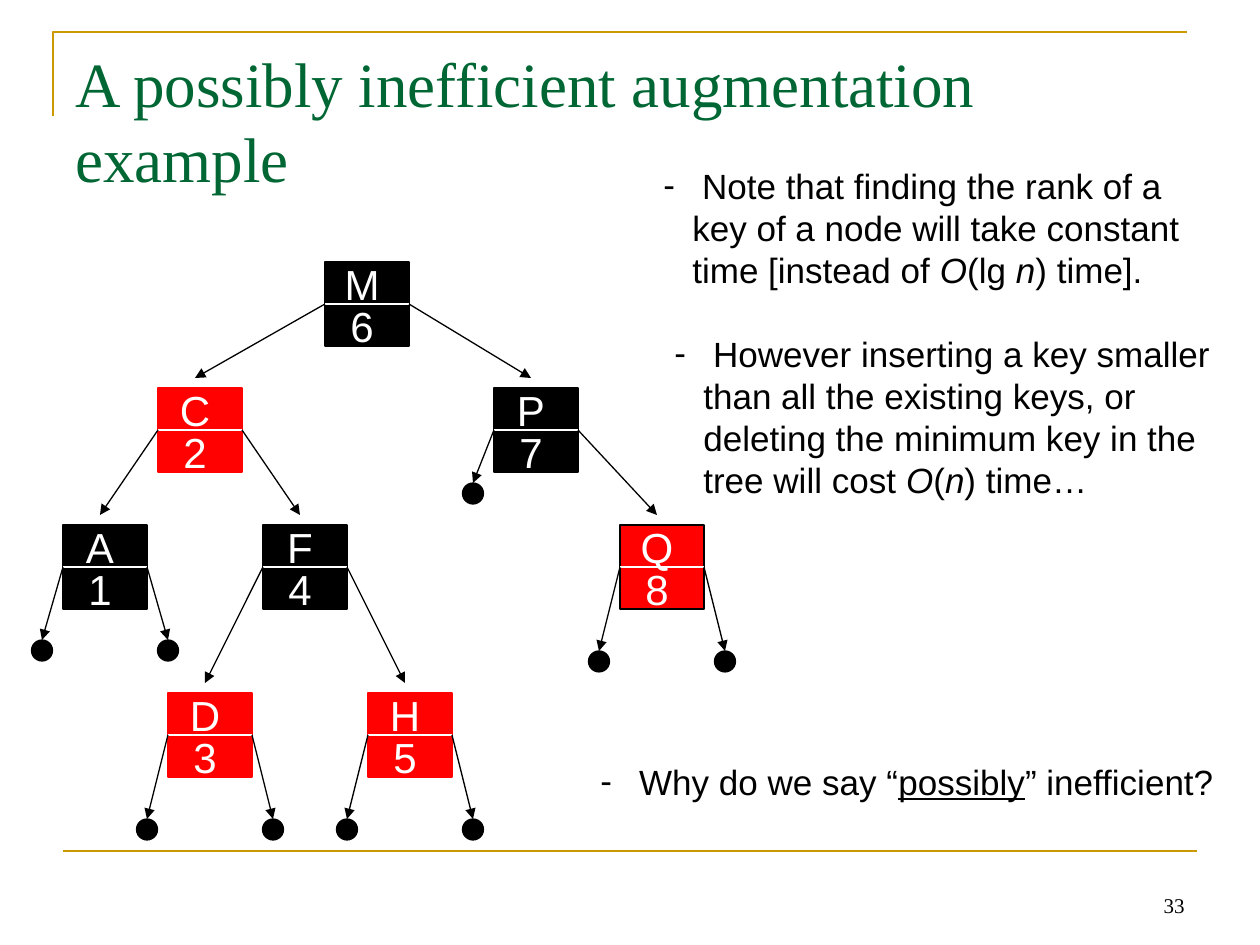
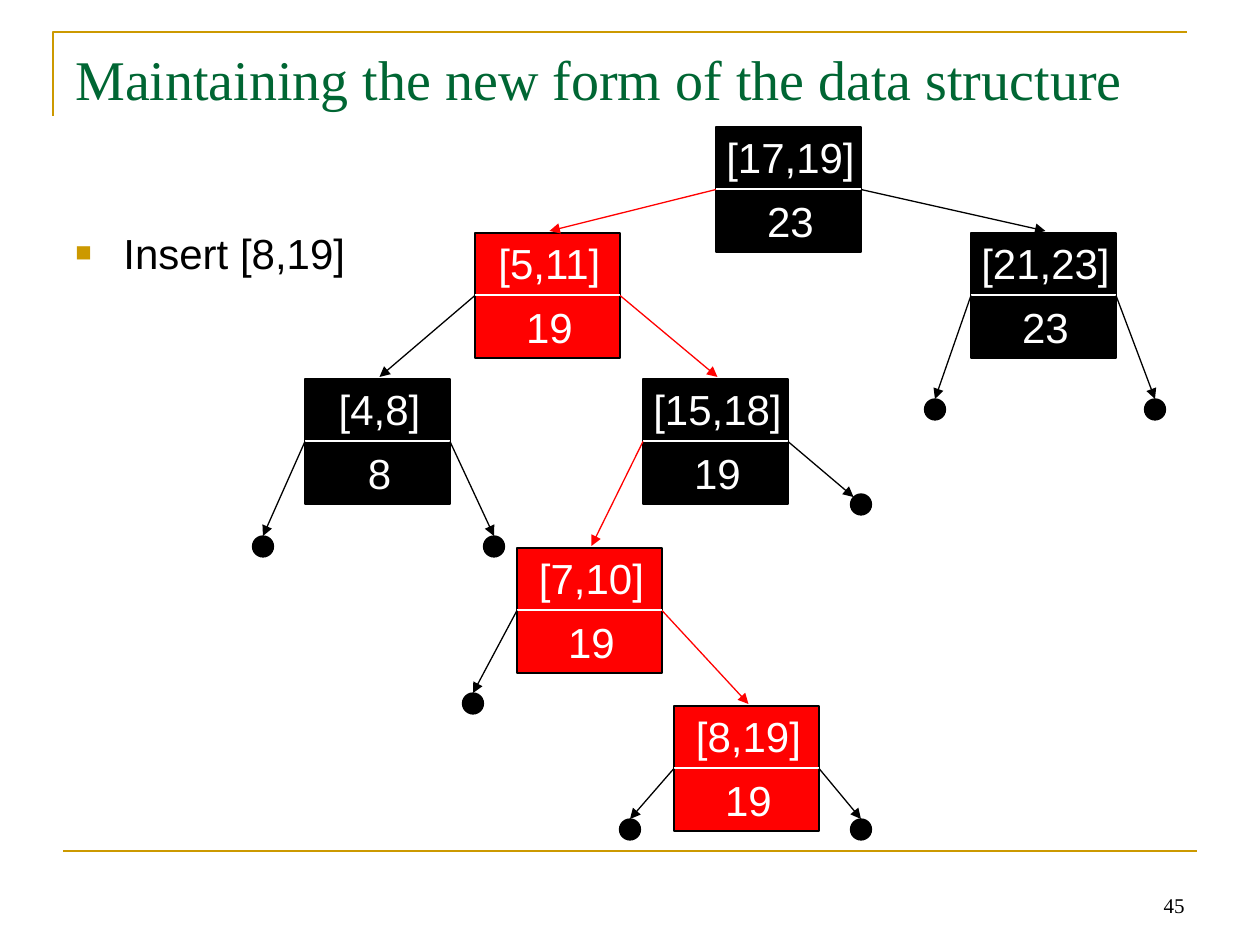
from lxml import etree
from pptx import Presentation
from pptx.dml.color import RGBColor
from pptx.enum.shapes import MSO_CONNECTOR, MSO_SHAPE
from pptx.enum.text import MSO_ANCHOR, PP_ALIGN
from pptx.oxml.ns import qn
from pptx.util import Pt

STRAIGHT = MSO_CONNECTOR.STRAIGHT
RECTANGLE, OVAL = MSO_SHAPE.RECTANGLE, MSO_SHAPE.OVAL
TOP, BOTTOM = MSO_ANCHOR.TOP, MSO_ANCHOR.BOTTOM
LEFT, CENTER, RIGHT = PP_ALIGN.LEFT, PP_ALIGN.CENTER, PP_ALIGN.RIGHT
LEFT_SIDE, RIGHT_SIDE = 1, 3

BLACK = RGBColor(0x00, 0x00, 0x00)
WHITE = RGBColor(0xFF, 0xFF, 0xFF)
RED = RGBColor(0xFF, 0x01, 0x01)
GOLD = RGBColor(0xCC, 0x99, 0x00)
GREEN = RGBColor(0x00, 0x66, 0x33)
SANS, SERIF = "Arial", "Times New Roman"

PX = 914400 / 126  # EMU in one px
LEAF_SIZE = 21
LABEL_HEIGHT, LABEL_PADDING, LABEL_EM = 63, 25, 42
# Letter widths in em, for label boxes that hug their text
LETTER_WIDTHS = {"[": 0.28, "]": 0.28, ",": 0.28, "M": 0.83, "Q": 0.78, "C": 0.72,
                 "D": 0.72, "H": 0.72, "A": 0.67, "P": 0.67, "F": 0.61}
DIGIT_WIDTH = 0.56

# Nodes: key -> (value, left, top, fill, outline, left child, right child).
# A child is the key of a node, or (centre, top) of an empty leaf.
RANK_TREE = {
    "node_size": (84, 84), "label_shift": -5, "key_offset": -10,
    "value_offset": 32, "divider_offset": 42, "red_path": [],
    "nodes": {
        "M": ("6", 325, 262, BLACK, BLACK, "C", "P"),
        "C": ("2", 158, 388, RED, RED, "A", "F"),
        "P": ("7", 494, 388, BLACK, BLACK, (473, 483), "Q"),
        "Q": ("8", 620, 525, RED, BLACK, (599, 651), (725, 651)),
        "A": ("1", 63, 525, BLACK, BLACK, (42, 640), (168, 640)),
        "F": ("4", 263, 525, BLACK, BLACK, "D", "H"),
        "D": ("3", 168, 693, RED, RED, (147, 819), (273, 819)),
        "H": ("5", 368, 693, RED, RED, (347, 819), (473, 819)),
    },
}
INTERVAL_TREE = {
    "node_size": (145, 125), "label_shift": 2, "key_offset": -2,
    "value_offset": 62, "divider_offset": 62,
    "red_path": ["[17,19]", "[5,11]", "[15,18]", "[7,10]", "[8,19]"],
    "nodes": {
        "[17,19]": ("23", 716, 127, BLACK, BLACK, "[5,11]", "[21,23]"),
        "[5,11]": ("19", 475, 233, RED, BLACK, "[4,8]", "[15,18]"),
        "[21,23]": ("23", 971, 233, BLACK, BLACK, (935, 399), (1155, 399)),
        "[4,8]": ("8", 305, 379, BLACK, BLACK, (263, 536), (494, 536)),
        "[15,18]": ("19", 643, 379, BLACK, BLACK, "[7,10]", (861, 494)),
        "[7,10]": ("19", 517, 548, RED, BLACK, (473, 693), "[8,19]"),
        "[8,19]": ("19", 674, 706, RED, BLACK, (630, 819), (861, 819)),
    },
}

# Bullet styles: character, hanging indent, colour, size in percent
DASH = ("-", 29, BLACK, 100)
SQUARE = ("■", 48, GOLD, 65)

# Notes: box, bullet, size, runs as (text, font attribute to switch on)
SLIDES = [
    {"title": "A possibly inefficient augmentation example", "title_size": 36,
     "number": "33", "tree": RANK_TREE,
     "notes": [
         ((651, 158, 567, 139), DASH, 20, [
             (" Note that finding the rank of a key of a node will take "
              "constant time [instead of ", None),
             ("O", "italic"), ("(lg ", None), ("n", "italic"), (") time].", None)]),
         ((662, 326, 567, 180), DASH, 20, [
             (" However inserting a key smaller than all the existing keys, or "
              "deleting the minimum key in the tree will cost ", None),
             ("O", "italic"), ("(", None), ("n", "italic"), (") time…", None)]),
         ((588, 754, 640, 55), DASH, 20, [
             (" Why do we say “", None), ("possibly", "underline"),
             ("” inefficient?", None)]),
     ]},
    {"title": "Maintaining the new form of the data structure", "title_size": 32,
     "number": "45", "tree": INTERVAL_TREE,
     "notes": [((63, 221, 1134, 624), SQUARE, 24, [("Insert [8,19]", None)])]},
]


def px(value):
    return round(value * PX)


def add_bullet(paragraph, bullet):
    character, indent, color, percent = bullet
    properties = paragraph._p.get_or_add_pPr()
    properties.set("marL", str(px(indent)))
    properties.set("indent", str(-px(indent)))
    bullet_color = etree.SubElement(properties, qn("a:buClr"))
    etree.SubElement(bullet_color, qn("a:srgbClr"), val=str(color))
    etree.SubElement(properties, qn("a:buSzPct"), val=str(percent * 1000))
    etree.SubElement(properties, qn("a:buFont"), typeface=SANS)
    etree.SubElement(properties, qn("a:buChar"), char=character)


def add_text(slide, box, runs, size, color, font=SANS, align=LEFT,
             anchor=TOP, wrap=True, bullet=None):
    frame = slide.shapes.add_textbox(*map(px, box)).text_frame
    frame.word_wrap = wrap
    frame.vertical_anchor = anchor
    paragraph = frame.paragraphs[0]
    paragraph.alignment = align
    if bullet:
        add_bullet(paragraph, bullet)
    for text, emphasis in runs:
        run = paragraph.add_run()
        run.text = text
        run.font.name, run.font.size = font, Pt(size)
        run.font.color.rgb = color
        if emphasis:
            setattr(run.font, emphasis, True)


def add_line(slide, start, end, color, width=0.75, arrow=False):
    line = slide.shapes.add_connector(STRAIGHT, *map(px, (*start, *end)))
    line.line.color.rgb = color
    line.line.width = Pt(width)
    if arrow:
        etree.SubElement(line.line._get_or_add_ln(), qn("a:tailEnd"), type="triangle")
    etree.SubElement(line._element.spPr, qn("a:effectLst"))
    return line


def add_block(slide, kind, box, fill, outline):
    shape = slide.shapes.add_shape(kind, *map(px, box))
    shape.shadow.inherit = False
    shape.fill.solid()
    shape.fill.fore_color.rgb = fill
    shape.line.color.rgb = outline
    shape.line.width = Pt(0.75)
    return shape


def add_label(slide, text, center, top):
    ems = sum(LETTER_WIDTHS.get(letter, DIGIT_WIDTH) for letter in text)
    width = LABEL_PADDING + LABEL_EM * ems
    add_text(slide, (center - width / 2, top, width, LABEL_HEIGHT), [(text, None)],
             24, WHITE, align=CENTER, wrap=False)


def add_leaf(slide, center, top, start):
    """Draw an empty leaf and return the point where its arrow ends."""
    radius = LEAF_SIZE / 2
    add_block(slide, OVAL, (center - radius, top, LEAF_SIZE, LEAF_SIZE), BLACK, BLACK)
    if abs(center - start[0]) > top - start[1]:  # a flat arrow meets the rim diagonally
        side = 1 if center > start[0] else -1
        return center - side * radius * 0.71, top + radius * 0.29
    return center, top


def add_tree(slide, tree):
    nodes = tree["nodes"]
    width, height = tree["node_size"]
    path = tree["red_path"]
    red_edges = set(zip(path, path[1:]))

    def label_point(key):
        left, top = nodes[key][1:3]
        return left + width / 2 + tree["label_shift"], top + tree["key_offset"]

    # Nodes with key, divider and value
    blocks = {}
    for key, (value, left, top, fill, outline, *_) in nodes.items():
        blocks[key] = add_block(slide, RECTANGLE, (left, top, width, height), fill, outline)
        center, key_top = label_point(key)
        add_label(slide, key, center, key_top)
        add_label(slide, value, center, top + tree["value_offset"])
        divider = top + tree["divider_offset"]
        add_line(slide, (left, divider), (left + width, divider), WHITE)

    # Arrows to the children
    for key, (_, left, top, _, _, *children) in nodes.items():
        for child, side, x in zip(children, (LEFT_SIDE, RIGHT_SIDE), (left, left + width)):
            start = (x, top + height / 2)
            end = label_point(child) if child in nodes else add_leaf(slide, *child, start)
            color = RED if (key, child) in red_edges else BLACK
            arrow = add_line(slide, start, end, color, arrow=True)
            arrow.begin_connect(blocks[key], side)


def add_frame(slide, title, title_size, number):
    # Corner rule, bottom rule, slide number and title
    builder = slide.shapes.build_freeform(px(53), px(116))
    builder.add_line_segments([(px(53), px(32)), (px(1187), px(32))], close=False)
    corner = builder.convert_to_shape()
    corner.shadow.inherit = False
    corner.fill.background()
    corner.line.color.rgb = GOLD
    corner.line.width = Pt(1.5)
    add_line(slide, (63, 851), (1197, 851), GOLD, width=1.5)
    add_text(slide, (903, 861, 294, 63), [(number, None)], 12, BLACK, SERIF, RIGHT, BOTTOM)
    add_text(slide, (63, 38, 1134, 158), [(title, None)], title_size, GREEN, SERIF)


def main():
    presentation = Presentation()
    presentation.slide_width, presentation.slide_height = px(1260), px(945)
    for content in SLIDES:
        slide = presentation.slides.add_slide(presentation.slide_layouts[6])
        add_frame(slide, content["title"], content["title_size"], content["number"])
        add_tree(slide, content["tree"])
        for box, bullet, size, runs in content["notes"]:
            add_text(slide, box, runs, size, BLACK, bullet=bullet)
    presentation.save("out.pptx")


if __name__ == "__main__":
    main()
